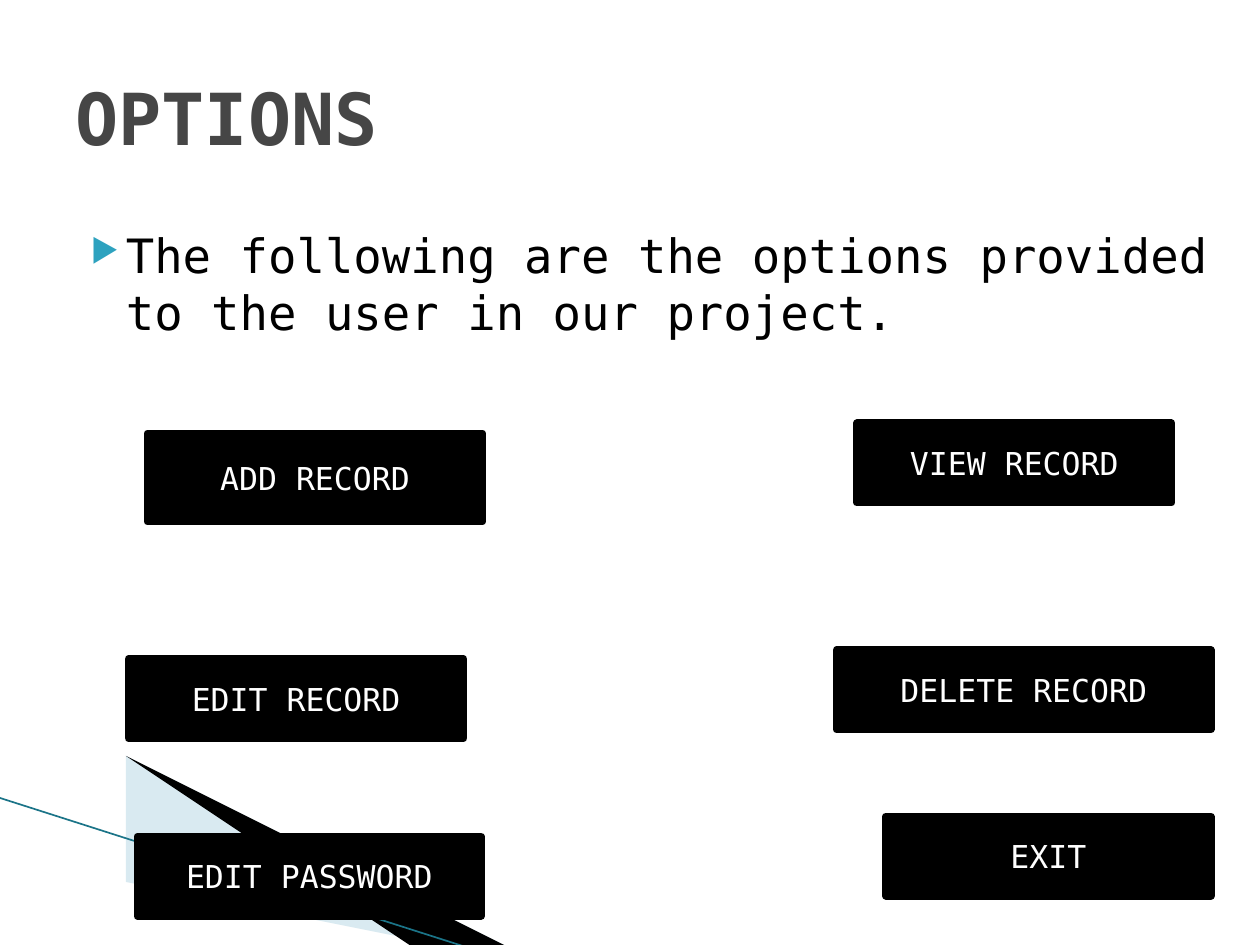
from lxml.etree import SubElement
from pptx import Presentation
from pptx.dml.color import RGBColor
from pptx.enum.shapes import MSO_CONNECTOR, MSO_SHAPE
from pptx.enum.text import MSO_ANCHOR, PP_ALIGN
from pptx.oxml.ns import qn
from pptx.util import Inches, Pt

FONT = "DejaVu Sans Mono"
BLACK, WHITE, TITLE_GREY = "000000", "FFFFFF", "464646"
TEAL, DARK_TEAL, PALE_BLUE = "2DA2BF", "1B7488", "A0CBDC"

# label, left, top, width, height
BUTTONS = [
    ("ADD RECORD", 1.17, 3.44, 2.66, 0.7),
    ("VIEW RECORD", 6.8, 3.36, 2.5, 0.63),
    ("EDIT RECORD", 1.02, 5.23, 2.66, 0.63),
    ("DELETE RECORD", 6.64, 5.16, 2.97, 0.63),
    ("EXIT", 7.03, 6.48, 2.58, 0.63),
    ("EDIT PASSWORD", 1.09, 6.64, 2.73, 0.63),
]


def color(value):
    """Turn a hex string into a colour."""
    return RGBColor.from_string(value)


def write(shape, text, size, text_color, bold=False):
    """Put one styled paragraph in a shape and return it."""
    shape.text_frame.word_wrap = True
    paragraph = shape.text_frame.paragraphs[0]
    paragraph.text = text
    font = paragraph.font
    font.name, font.size, font.bold = FONT, Pt(size), bold
    font.color.rgb = color(text_color)
    return paragraph


def add_wedge(slide, points, fill, opacity=100):
    """Draw a filled outline without a border."""
    builder = slide.shapes.build_freeform(*points[0], scale=Inches(1))
    builder.add_line_segments(points[1:], close=True)
    shape = builder.convert_to_shape()
    shape.shadow.inherit = False
    shape.fill.solid()
    shape.fill.fore_color.rgb = color(fill)
    shape.line.fill.background()
    if opacity < 100:
        fill_color = shape._element.spPr.find(qn("a:solidFill"))[0]
        SubElement(fill_color, qn("a:alpha"), val=str(opacity * 1000))


def add_corner(slide):
    """Draw the wedges and the thin line in the lower left corner."""
    add_wedge(slide, [(0.55, 6.51), (5.95, 7.51), (4.56, 7.51), (0.55, 6.5)],
              PALE_BLUE, opacity=40)
    add_wedge(slide, [(0.53, 6.49), (4.57, 7.51), (3.72, 7.52), (0.54, 6.5)], BLACK)
    ends = [Inches(value) for value in (-0.01, 6.33, 3.71, 7.52)]
    edge = slide.shapes.add_connector(MSO_CONNECTOR.STRAIGHT, *ends)
    edge.line.color.rgb = color(DARK_TEAL)
    edge.line.width = Pt(0.95)
    SubElement(edge._element.spPr, qn("a:effectLst"))


def add_title(slide, text, *box):
    """Add the bold heading, centred vertically in its box."""
    title = slide.shapes.add_textbox(*map(Inches, box))
    title.text_frame.vertical_anchor = MSO_ANCHOR.MIDDLE
    write(title, text, 41, TITLE_GREY, bold=True)


def add_body(slide, text, *box):
    """Add the introduction with its triangle bullet."""
    body = slide.shapes.add_textbox(*map(Inches, box))
    body.text_frame.margin_right = Inches(0.05)
    paragraph = write(body, text, 27, BLACK)
    paragraph.space_before = Pt(4)
    properties = paragraph._p.get_or_add_pPr()
    properties.set("marL", str(Inches(0.4)))
    properties.set("indent", str(Inches(-0.28)))
    bullet = [
        SubElement(properties, qn("a:buClr")),
        SubElement(properties, qn("a:buSzPct"), val="68000"),
        SubElement(properties, qn("a:buChar"), char="▶"),
    ]
    SubElement(bullet[0], qn("a:srgbClr"), val=TEAL)
    # Bullet settings precede the default run settings in the schema.
    properties.append(properties.find(qn("a:defRPr")))


def add_button(slide, label, *box):
    """Add a black button with a centred white label."""
    button = slide.shapes.add_shape(MSO_SHAPE.RECTANGLE, *map(Inches, box))
    button.shadow.inherit = False
    button.fill.solid()
    button.fill.fore_color.rgb = color(BLACK)
    button.line.color.rgb = color(BLACK)
    button.line.width = Pt(4.33)
    button.text_frame.vertical_anchor = MSO_ANCHOR.MIDDLE
    write(button, label, 18, WHITE).alignment = PP_ALIGN.CENTER


def build_options_slide(presentation):
    """Build the slide listing the options offered to the user."""
    slide = presentation.slides.add_slide(presentation.slide_layouts[6])
    add_corner(slide)
    add_body(slide, "The following are the options provided to the user in our project.",
             0.5, 1.75, 9.19, 5.52)
    add_title(slide, "OPTIONS", 0.5, 0.3, 9, 1.25)
    for button in BUTTONS:
        add_button(slide, *button)


presentation = Presentation()
presentation.slide_width, presentation.slide_height = Inches(10), Inches(7.5)
build_options_slide(presentation)
presentation.save("out.pptx")
